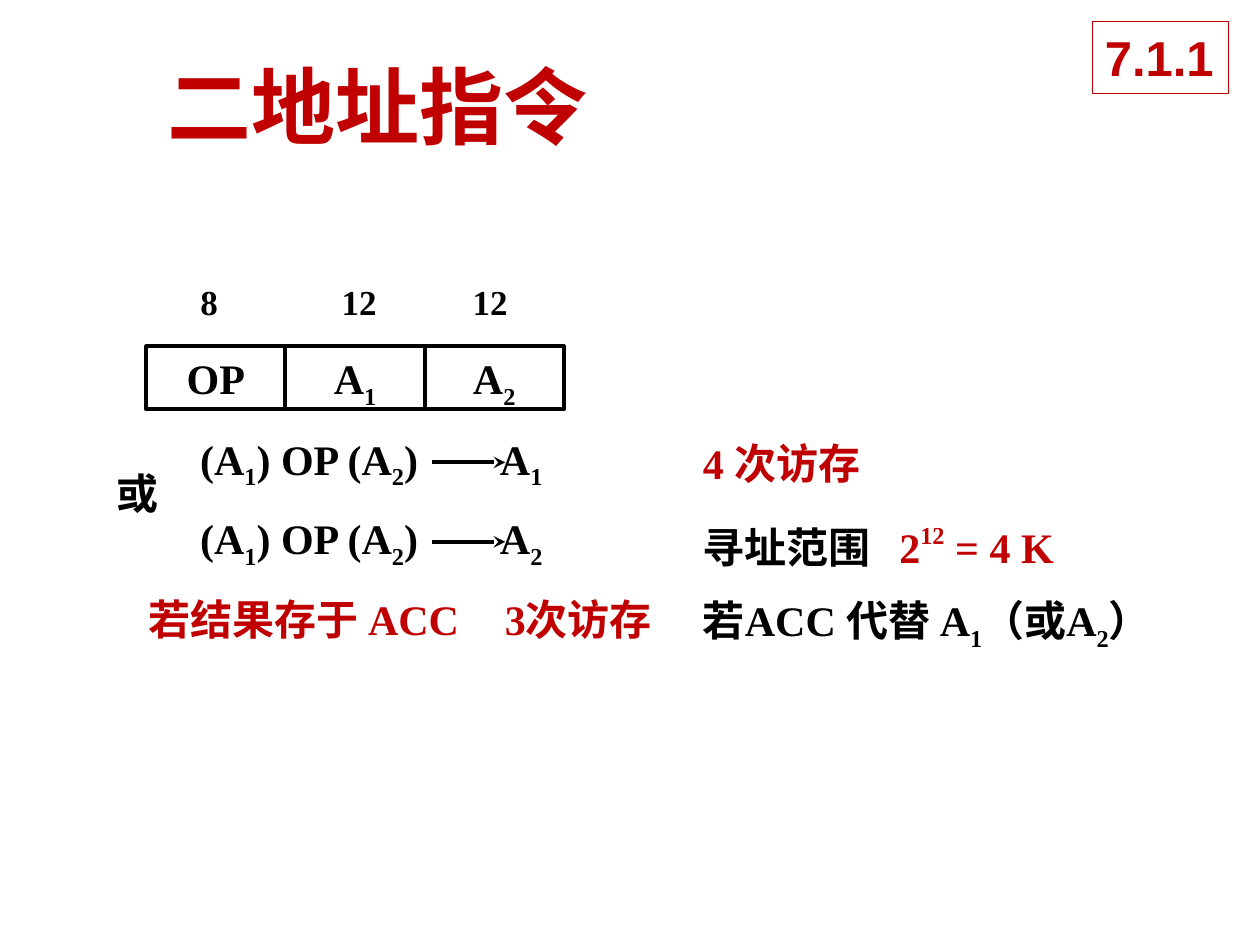
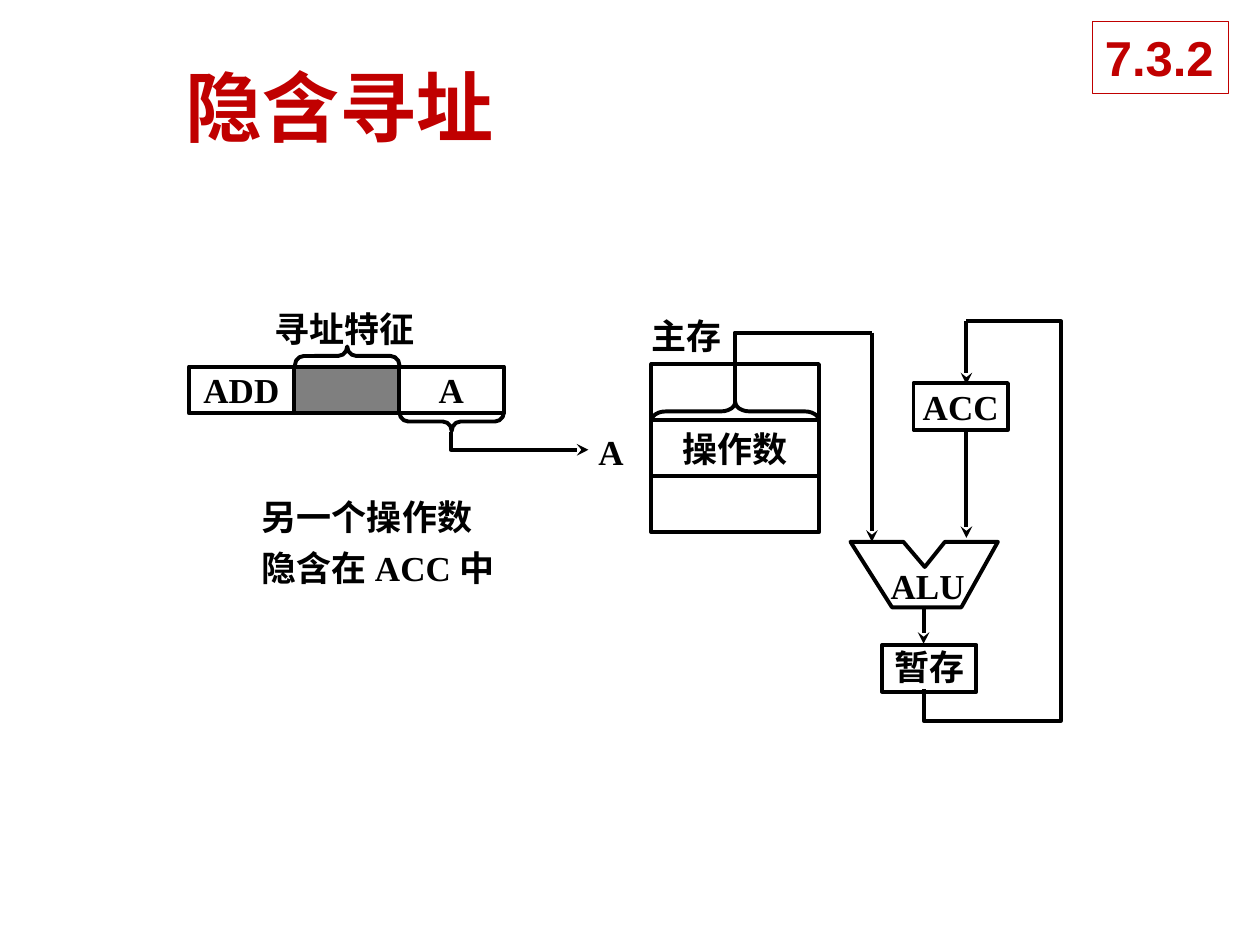
from dataclasses import dataclass
from typing import NamedTuple

from lxml.etree import SubElement
from pptx import Presentation
from pptx.dml.color import RGBColor
from pptx.enum.shapes import MSO_CONNECTOR as Connector, MSO_SHAPE as Shape
from pptx.enum.text import MSO_ANCHOR as Anchor, MSO_AUTO_SIZE as AutoSize, PP_ALIGN as Align
from pptx.oxml.ns import qn
from pptx.util import Inches, Pt


@dataclass(frozen=True)
class Theme:
    black: RGBColor = RGBColor(0, 0, 0)
    white: RGBColor = RGBColor(255, 255, 255)
    red: RGBColor = RGBColor(0xC0, 0, 0)
    serif: str = "Times New Roman"
    sans: str = "Arial"
    chinese: str = "Noto Sans CJK SC"
    tag_size: int = 28
    formula_size: int = 24
    diagram_size: int = 20
    stroke: float = 2.25
    tag_stroke: float = 0.75


THEME = Theme()


class Box(NamedTuple):
    left: float
    top: float
    width: float
    height: float

    def lengths(self) -> list:
        return [Inches(value) for value in self]


class Piece(NamedTuple):
    text: str
    baseline: int = 0
    color: RGBColor = THEME.black


class Label(NamedTuple):
    box: Box
    pieces: list
    wrap: bool = False


class Brace(NamedTuple):
    box: Box
    rotation: int
    curve: float


class Path(NamedTuple):
    points: list
    arrow: bool = False
    closed: bool = False


# Text

def style_run(run, size: float, color: RGBColor, font: str = THEME.serif, baseline: int = 0) -> None:
    run.font.size = Pt(size)
    run.font.bold = True
    run.font.color.rgb = color
    run.font.name = font
    properties = run._r.get_or_add_rPr()
    if baseline:
        properties.set("baseline", str(baseline * 1000))
    SubElement(properties, qn("a:ea")).set("typeface", THEME.chinese)


def write(paragraph, pieces: list, size: float, font: str = THEME.serif) -> None:
    for piece in pieces:
        run = paragraph.add_run()
        run.text = piece.text
        style_run(run, size, piece.color, font, piece.baseline)


def add_label(slide, label: Label, size: float, align: Align = Align.LEFT):
    shape = slide.shapes.add_textbox(*label.box.lengths())
    frame = shape.text_frame
    frame.word_wrap = label.wrap
    frame.auto_size = AutoSize.SHAPE_TO_FIT_TEXT
    frame.paragraphs[0].alignment = align
    write(frame.paragraphs[0], label.pieces, size)
    return shape


def add_tab_stop(paragraph, position: float) -> None:
    tabs = SubElement(paragraph._p.get_or_add_pPr(), qn("a:tabLst"))
    tab = SubElement(tabs, qn("a:tab"))
    tab.set("pos", str(Inches(position)))
    tab.set("algn", "l")


# Outlines

def style_line(shape, arrow: bool = False) -> None:
    shape.line.color.rgb = THEME.black
    shape.line.width = Pt(THEME.stroke)
    if arrow:
        line = shape.element.spPr.find(qn("a:ln"))
        SubElement(line, qn("a:tailEnd")).set("type", "stealth")


def add_cell(slide, box: Box, pieces: list, size: float, anchor: Anchor = Anchor.MIDDLE):
    shape = slide.shapes.add_shape(Shape.RECTANGLE, *box.lengths())
    shape.shadow.inherit = False
    shape.fill.background()
    style_line(shape)
    frame = shape.text_frame
    frame.word_wrap = False
    frame.vertical_anchor = anchor
    frame.paragraphs[0].alignment = Align.CENTER
    write(frame.paragraphs[0], pieces, size)
    return shape


def add_brace(slide, brace: Brace) -> None:
    shape = slide.shapes.add_shape(Shape.LEFT_BRACE, *brace.box.lengths())
    shape.shadow.inherit = False
    shape.fill.background()
    style_line(shape)
    shape.rotation = brace.rotation
    shape.adjustments[0] = brace.curve


def add_arrow(slide, start: tuple, end: tuple) -> None:
    ends = [Inches(value) for value in (*start, *end)]
    connector = slide.shapes.add_connector(Connector.STRAIGHT, *ends)
    style_line(connector, arrow=True)
    SubElement(connector.element.spPr, qn("a:effectLst"))


def add_path(slide, path: Path) -> None:
    points = [(Inches(x), Inches(y)) for x, y in path.points]
    builder = slide.shapes.build_freeform(*points[0])
    builder.add_line_segments(points[1:], close=path.closed)
    shape = builder.convert_to_shape()
    shape.shadow.inherit = False
    shape.fill.background()
    style_line(shape, path.arrow)


# Shared slide frame

def add_titled_slide(presentation, title: str, size: float, indent: float, section: str):
    slide = presentation.slides.add_slide(presentation.slide_layouts[5])
    shape = slide.shapes.title
    shape.left, shape.top, shape.width, shape.height = Box(1.23, 0.42, 8.42, 0.83).lengths()
    frame = shape.text_frame
    frame.text = title
    frame.auto_size = AutoSize.NONE
    frame.vertical_anchor = Anchor.MIDDLE
    frame.margin_left = Inches(indent)
    frame.paragraphs[0].alignment = Align.LEFT
    style_run(frame.paragraphs[0].runs[0], size, THEME.red)

    tag = slide.shapes.add_shape(Shape.RECTANGLE, *Box(8.67, 0.17, 1.08, 0.57).lengths())
    tag.shadow.inherit = False
    tag.fill.solid()
    tag.fill.fore_color.rgb = THEME.white
    tag.line.color.rgb = THEME.red
    tag.line.width = Pt(THEME.tag_stroke)
    frame = tag.text_frame
    frame.word_wrap = False
    frame.auto_size = AutoSize.SHAPE_TO_FIT_TEXT
    frame.vertical_anchor = Anchor.TOP
    frame.paragraphs[0].alignment = Align.LEFT
    write(frame.paragraphs[0], [Piece(section, color=THEME.red)], THEME.tag_size, THEME.sans)
    return slide


def address(number: int) -> list:
    return [Piece("A"), Piece(str(number), -25)]


def build_two_address(presentation) -> None:
    slide = add_titled_slide(presentation, "二地址指令", 48, 0.1, "7.1.1")
    size = THEME.formula_size

    # Instruction format with field widths
    fields = [("8", 1.66, [Piece("OP")]), ("12", 2.85, address(1)), ("12", 3.89, address(2))]
    for index, (bits, center, pieces) in enumerate(fields):
        add_cell(slide, Box(1.16 + 1.105 * index, 2.75, 1.105, 0.5), pieces, size, Anchor.TOP)
        add_label(slide, Label(Box(center - 0.25, 2.18, 0.5, 0.43), [Piece(bits)]),
                  THEME.diagram_size, Align.CENTER)

    # Operation and its two possible destinations
    operation = [Piece("("), *address(1), Piece(") OP ("), *address(2), Piece(")")]
    for destination, top in ((1, 3.39), (2, 4.02)):
        add_label(slide, Label(Box(1.49, top, 1.93, 0.5), operation), size)
        add_label(slide, Label(Box(3.87, top, 0.8, 0.5), address(destination), True), size)
        add_arrow(slide, (3.43, top + 0.28), (4.01, top + 0.28))

    # Remarks
    remarks = [
        Label(Box(0.83, 3.66, 0.54, 0.5), [Piece("或")]),
        Label(Box(5.48, 3.42, 3.02, 0.5), [Piece("4 次访存", color=THEME.red)], True),
        Label(Box(5.48, 4.67, 3.93, 0.5),
              [Piece("若ACC 代替 "), *address(1), Piece("（或"), *address(2), Piece("）")], True),
        Label(Box(1.08, 4.66, 3.02, 0.5), [Piece("若结果存于 ACC", color=THEME.red)]),
        Label(Box(3.91, 4.66, 2, 0.5), [Piece("3次访存", color=THEME.red)], True),
    ]
    for remark in remarks:
        add_label(slide, remark, size)
    address_range = [Piece("寻址范围\t"), Piece("2", color=THEME.red),
                     Piece("12", 45, THEME.red), Piece(" = 4 K", color=THEME.red)]
    shape = add_label(slide, Label(Box(5.48, 4.08, 3.43, 0.5), address_range, True), size)
    add_tab_stop(shape.text_frame.paragraphs[0], 1.56)


def build_implied_addressing(presentation) -> None:
    slide = add_titled_slide(presentation, "隐含寻址", 44, 0.24, "7.3.2")
    size = THEME.diagram_size

    # Instruction word
    word = [add_cell(slide, Box(1.5 + 0.833 * index, 2.91, 0.833, 0.37), [Piece(text)] if text else [], size)
            for index, text in enumerate(("ADD", "", "A"))]
    mode_field = word[1]
    mode_field.fill.solid()
    mode_field.fill.fore_color.rgb = THEME.black
    color = mode_field.element.spPr.find(qn("a:solidFill"))[0]
    SubElement(color, qn("a:alpha")).set("val", "50000")

    # Main memory
    for index, text in enumerate(("", "操作数", "")):
        add_cell(slide, Box(5.17, 2.89 + 0.445 * index, 1.33, 0.445), [Piece(text)] if text else [], size)

    # Registers
    add_cell(slide, Box(7.25, 3.04, 0.75, 0.37), [Piece("ACC")], size)
    buffer = add_cell(slide, Box(7, 5.12, 0.75, 0.37), [Piece("暂存")], size)
    buffer.text_frame.margin_top = Inches(0.02)

    braces = [
        Brace(Box(2.68, 2.41, 0.15, 0.83), 90, 0.475),
        Brace(Box(3.51, 2.93, 0.15, 0.83), 270, 0.47),
        Brace(Box(5.76, 2.6, 0.15, 1.33), 90, 0.752),
    ]
    for brace in braces:
        add_brace(slide, brace)

    # ALU outline and bent data paths
    paths = [
        Path([(6.75, 4.3), (7.17, 4.3), (7.34, 4.5), (7.5, 4.3), (7.92, 4.3), (7.63, 4.82), (7.08, 4.82)],
             closed=True),
        Path([(3.58, 3.43), (3.58, 3.57), (4.67, 3.57)], arrow=True),
        Path([(5.83, 3.22), (5.83, 2.64), (6.92, 2.64)]),
        Path([(7.33, 5.47), (7.33, 5.72), (8.42, 5.72), (8.42, 2.55), (7.67, 2.55)]),
    ]
    for path in paths:
        add_path(slide, path)

    # Straight data paths: x, start, end
    for x, start, end in ((7.33, 4.81, 5.11), (7.67, 3.41, 4.27), (6.92, 2.64, 4.3), (7.67, 2.55, 3.05)):
        add_arrow(slide, (x, start), (x, end))

    # Labels
    labels = [
        Label(Box(5.07, 2.45, 0.76, 0.43), [Piece("主存")]),
        Label(Box(2.08, 2.39, 1.32, 0.43), [Piece("寻址特征")]),
        Label(Box(4.65, 3.37, 0.4, 0.43), [Piece("A")]),
        Label(Box(6.97, 4.43, 0.79, 0.43), [Piece("ALU")]),
    ]
    for label in labels:
        add_label(slide, label, size)

    note = add_label(slide, Label(Box(1.98, 3.82, 2.77, 0.9), [Piece("另一个操作数")], True), size)
    write(note.text_frame.add_paragraph(), [Piece("隐含在 ACC 中")], size)
    for paragraph in note.text_frame.paragraphs:
        paragraph.line_spacing = 1.2


def main() -> None:
    presentation = Presentation()
    presentation.slide_width = Inches(10)
    presentation.slide_height = Inches(7.5)
    build_two_address(presentation)
    build_implied_addressing(presentation)
    presentation.save("out.pptx")


if __name__ == "__main__":
    main()
